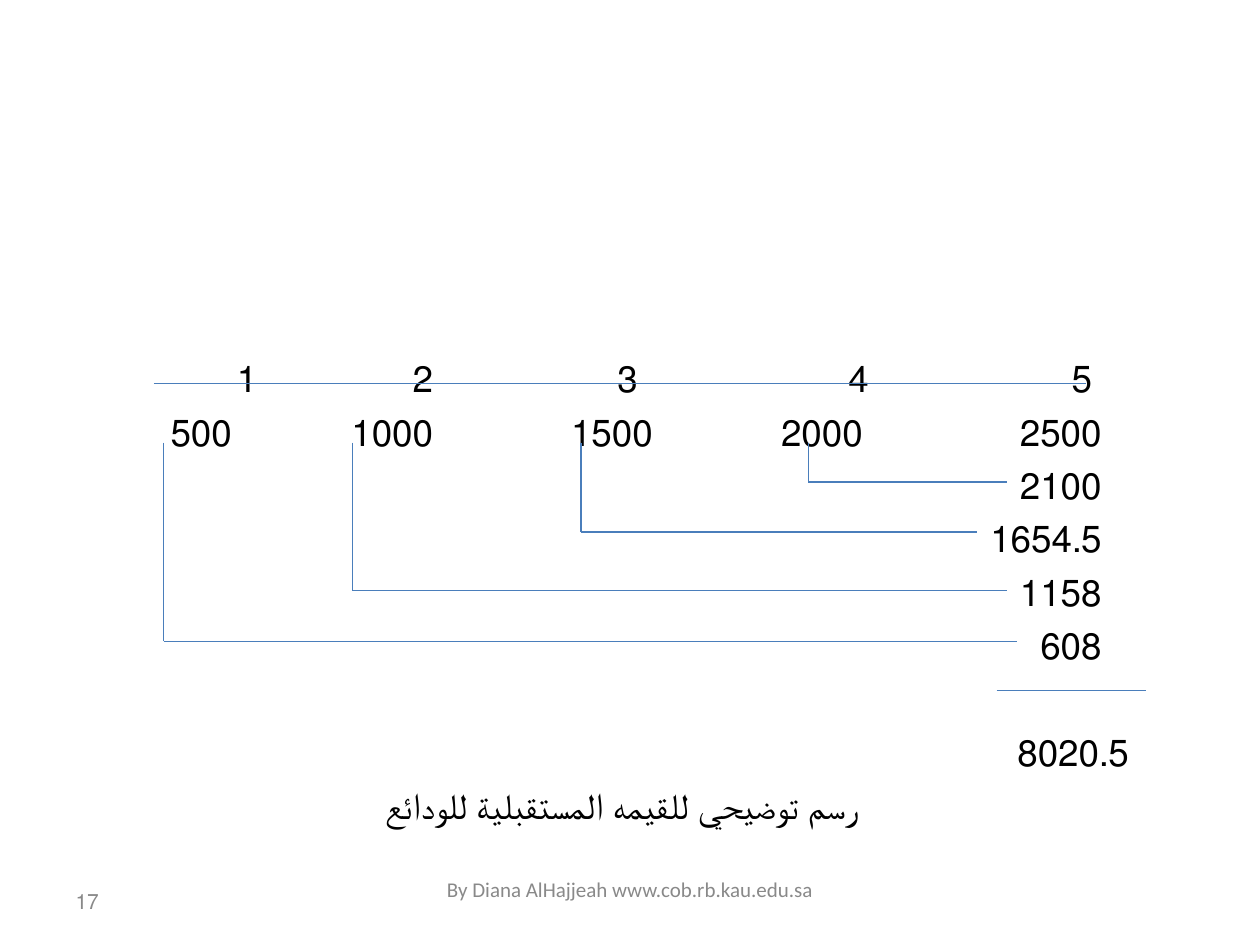
from dataclasses import dataclass

import pptx
import pptx.dml.color
import pptx.enum.shapes
import pptx.enum.text
import pptx.oxml.ns
import pptx.util
from lxml import etree

Pt = pptx.util.Pt
ALIGN = pptx.enum.text.PP_ALIGN
COLORS = {"text": "000000", "footer": "898989", "line": "4A7EBB"}
FIRST_ROW = 216
ROW_PITCH = 30.5
LABEL_WIDTH = 100
DEPOSIT_TOP = 253


@dataclass
class Label:
    text: str
    left: float
    middle: float
    width: float
    align: ALIGN = ALIGN.RIGHT
    size: float = 21
    color: str = "text"
    right_to_left: bool = True


@dataclass
class Deposit:
    year: str
    year_right: float
    amount: str
    amount_right: float
    future_value: str


@dataclass
class Bracket:
    left: float
    right: float
    bottom: float


DEPOSITS = [
    Deposit("5", 624, "2500", 629.5, ""),
    Deposit("4", 496.5, "2000", 493, "2100"),
    Deposit("3", 364.5, "1500", 373, "1654.5"),
    Deposit("2", 247.5, "1000", 247.5, "1158"),
    Deposit("1", 147, "500", 132.5, "608"),
]
BRACKETS = [
    Bracket(462, 575.5, 275.5),
    Bracket(332, 558.5, 304),
    Bracket(201.5, 575.5, 337.5),
    Bracket(93.5, 581, 366.5),
]


def row_middle(row: int) -> float:
    return FIRST_ROW + row * ROW_PITCH


def add_label(slide, label: Label) -> None:
    height = label.size * 1.5
    shape = slide.shapes.add_textbox(
        Pt(label.left), Pt(label.middle - height / 2), Pt(label.width), Pt(height)
    )
    frame = shape.text_frame
    frame.word_wrap = True
    frame.vertical_anchor = pptx.enum.text.MSO_ANCHOR.MIDDLE
    frame.margin_left = frame.margin_right = 0
    frame.margin_top = frame.margin_bottom = 0
    frame.text = label.text
    paragraph = frame.paragraphs[0]
    paragraph.alignment = label.align
    if label.right_to_left:
        paragraph._p.get_or_add_pPr().set("rtl", "1")
    for run in paragraph.runs:
        run.font.name = "Calibri"
        run.font.size = Pt(label.size)
        run.font.color.rgb = pptx.dml.color.RGBColor.from_string(COLORS[label.color])


def add_value(slide, text: str, right: float, row: int) -> None:
    add_label(slide, Label(text, right - LABEL_WIDTH, row_middle(row), LABEL_WIDTH))


def add_line(slide, left: float, top: float, right: float, bottom: float) -> None:
    connector = slide.shapes.add_connector(
        pptx.enum.shapes.MSO_CONNECTOR.STRAIGHT, Pt(left), Pt(top), Pt(right), Pt(bottom)
    )
    connector.line.width = Pt(0.75)
    connector.line.color.rgb = pptx.dml.color.RGBColor.from_string(COLORS["line"])
    etree.SubElement(connector._element.spPr, pptx.oxml.ns.qn("a:effectLst"))


def main() -> None:
    presentation = pptx.Presentation()
    presentation.slide_width = Pt(720)
    presentation.slide_height = Pt(540)
    slide = presentation.slides.add_slide(presentation.slide_layouts[6])

    value_right = DEPOSITS[0].amount_right
    for index, deposit in enumerate(DEPOSITS):
        add_value(slide, deposit.year, deposit.year_right, 0)
        add_value(slide, deposit.amount, deposit.amount_right, 1)
        if deposit.future_value:
            add_value(slide, deposit.future_value, value_right, index + 1)
    add_value(slide, "8020.5", 645, 7)
    add_label(slide, Label(
        "رسم توضيحي للقيمه المستقبلية للودائع", 155, row_middle(8), 400, ALIGN.CENTER
    ))

    add_line(slide, 88, 219, 620.5, 219)
    add_line(slide, 569.5, 394.5, 655, 394.5)
    for bracket in BRACKETS:
        add_line(slide, bracket.left, DEPOSIT_TOP, bracket.left, bracket.bottom)
        add_line(slide, bracket.left, bracket.bottom, bracket.right, bracket.bottom)

    add_label(slide, Label(
        "By Diana AlHajjeah www.cob.rb.kau.edu.sa", 230, 508, 260,
        ALIGN.CENTER, 12, "footer", False,
    ))
    add_label(slide, Label("17", 43.2, 515, 150, ALIGN.LEFT, 12, "footer"))
    presentation.save("out.pptx")


if __name__ == "__main__":
    main()
